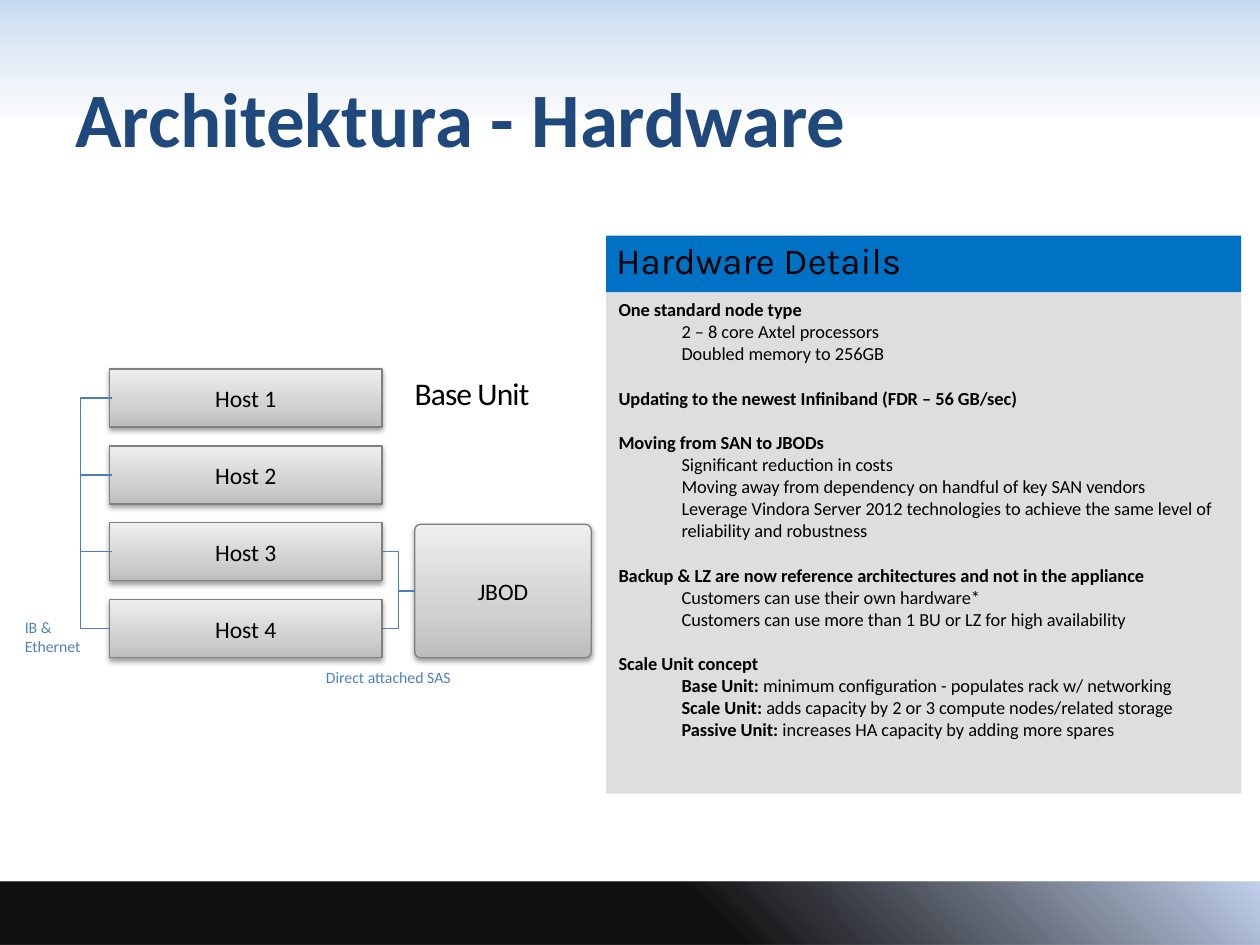
from itertools import pairwise

from pptx import Presentation
from pptx.dml.color import RGBColor as RGB
from pptx.enum.shapes import MSO_CONNECTOR as LINK, MSO_SHAPE as SHAPE
from pptx.enum.text import MSO_ANCHOR as ANCHOR, PP_ALIGN as ALIGN
from pptx.oxml.ns import qn
from pptx.oxml.xmlchemy import OxmlElement as Node
from pptx.util import Cm, Pt

HUES = {
    "black": "000000", "title": "1F497D", "label": "4F81BD", "wire": "4B7EBC",
    "head": "0072C6", "edge": "808080", "sky": "C6D9F1", "mist": "DCE6F2",
    "haze": "E1E8F5", "glow": "C2D1ED", "dark": "BDBDBD", "mid": "D1D1D1",
    "pale": "EEEEEE",
}
# Gradient stops: position, colour, opacity in percent
STEEL = [(0, "dark", 100), (35, "mid", 100), (100, "pale", 100)]
SKY = [(0, "mist", 41), (0, "sky", 100), (100, "haze", 16)]
NIGHT = [(56, "black", 93), (100, "glow", 100), (100, "haze", 16)]

deck = Presentation()
deck.slide_width, deck.slide_height = Cm(25.4), Cm(19.05)
slide = deck.slides.add_slide(deck.slide_layouts[6])
shapes = slide.shapes


def box(place, stops, angle=0, kind=SHAPE.RECTANGLE):
    """Add a borderless shape filled with one or more colour stops."""
    item = shapes.add_shape(kind, *map(Cm, place))
    item.shadow.inherit = False
    item.line.fill.background()
    tints = []
    for spot, hue, alpha in stops:
        tint = Node("a:srgbClr")
        tint.set("val", HUES[hue])
        if alpha < 100:
            veil = Node("a:alpha")
            veil.set("val", str(alpha * 1000))
            tint.append(veil)
        tints.append((spot, tint))
    props = item._element.spPr
    if len(stops) == 1:
        item.fill.solid()
        item.fill.fore_color.rgb = RGB(0, 0, 0)
        fill = props.find(qn("a:solidFill"))
        fill.replace(fill[0], tints[0][1])
        return item
    item.fill.gradient()
    fill = props.find(qn("a:gradFill"))
    ramp = fill.find(qn("a:gsLst"))
    for old in list(ramp):
        ramp.remove(old)
    for spot, tint in tints:
        stop = Node("a:gs")
        stop.set("pos", str(spot * 1000))
        stop.append(tint)
        ramp.append(stop)
    fill.find(qn("a:lin")).set("ang", str(angle * 60000))
    return item


def write(item, rows, size, hue="black", align=ALIGN.LEFT, face="Calibri", **form):
    """Write rows of (text, bold) runs; form holds text frame settings."""
    frame = item.text_frame
    for name, value in ({"word_wrap": True} | form).items():
        setattr(frame, name, value)
    for i, row in enumerate(rows):
        para = frame.paragraphs[0] if i == 0 else frame.add_paragraph()
        para.alignment = align
        for text, bold in row:
            run = para.add_run()
            run.text = text
            look = {"name": face, "size": Pt(size), "bold": bold}
            for name, value in look.items():
                setattr(run.font, name, value)
            run.font.color.rgb = RGB.from_string(HUES[hue])
    return frame


# Background bands
box((0, 0, 25.4, 2.39), SKY, 90)
box((0, 17.78, 25.4, 1.27), NIGHT, 315)

# Details panel: each group is a heading and its indented lines
GROUPS = [
    ("One standard node type", [
        ("", "2 – 8 core Axtel processors"),
        ("", "Doubled memory to 256GB")]),
    ("Updating to the newest Infiniband (FDR – 56 GB/sec)", []),
    ("Moving from SAN to JBODs", [
        ("", "Significant reduction in costs"),
        ("", "Moving away from dependency on handful of key SAN vendors"),
        ("", "Leverage Vindora Server 2012 technologies to achieve the same "
             "level of reliability and robustness")]),
    ("Backup & LZ are now reference architectures and not in the appliance", [
        ("", "Customers can use their own hardware*"),
        ("", "Customers can use more than 1 BU or LZ for high availability")]),
    ("Scale Unit concept", [
        ("Base Unit:", " minimum configuration - populates rack w/ networking"),
        ("Scale Unit:", " adds capacity by 2 or 3 compute nodes/related storage"),
        ("Passive Unit:", " increases HA capacity by adding more spares")]),
]
rows, heads = [], []
for head, points in GROUPS:
    heads.append(len(rows))
    rows.append([(head, True)])
    for term, text in points:
        rows.append([(term, True), (text, False)] if term else [(text, False)])
panel = box((12.22, 5.89, 12.8, 10.11), [(0, "black", 13)])
frame = write(panel, rows, 10.5, vertical_anchor=ANCHOR.TOP)
for i, para in enumerate(frame.paragraphs):
    if i not in heads:
        para.level = 1
        para._p.get_or_add_pPr().set("marL", str(Cm(1.27)))
        para._p.get_or_add_pPr().set("indent", "0")
    elif i:
        para.space_before = Pt(12.8)
bar = box((12.22, 4.75, 12.8, 1.14), [(0, "head", 100)])
write(bar, [[("Hardware Details", False)]], 21, face="Karla",
      vertical_anchor=ANCHOR.BOTTOM, margin_left=Cm(0.2), margin_top=Cm(0.1),
      margin_right=Cm(0.1), margin_bottom=Cm(0.2))

# Hosts and disk unit
units = [(f"Host {i + 1}", (2.21, 7.44 + 1.55 * i, 5.49, 1.17), SHAPE.RECTANGLE)
         for i in range(4)]
units.append(("JBOD", (8.36, 10.57, 3.56, 2.69), SHAPE.ROUNDED_RECTANGLE))
nodes = []
for name, place, kind in units:
    node = box(place, STEEL, 270, kind)
    node.line.color.rgb = RGB.from_string(HUES["edge"])
    node.line.width = Pt(0.75)
    cast = Node("a:outerShdw")
    drop = {"blurRad": Pt(3.1), "dist": Pt(1.6), "dir": 5400000, "rotWithShape": 0}
    for key, value in drop.items():
        cast.set(key, str(value))
    tint, veil = Node("a:srgbClr"), Node("a:alpha")
    tint.set("val", HUES["black"])
    veil.set("val", "38000")
    tint.append(veil)
    cast.append(tint)
    node._element.spPr.find(qn("a:effectLst")).append(cast)
    write(node, [[(name, False)]], 13.5, align=ALIGN.CENTER,
          vertical_anchor=ANCHOR.MIDDLE)
    nodes.append(node)
*hosts, disk = nodes
disk.adjustments[0] = 0.044

# Network wires on the left, storage wires on the right
wires = []
for upper, lower in pairwise(hosts):
    ends = [host.top + host.height // 2 for host in (upper, lower)]
    wire = shapes.add_connector(LINK.ELBOW, Cm(2.26), ends[0], Cm(2.21), ends[1])
    bend = Node("a:gd")
    bend.set("name", "adj1")
    bend.set("fmla", "val 1260000")
    wire._element.spPr.find(qn("a:prstGeom")).get_or_add_avLst().append(bend)
    wires.append(wire)
for host in hosts[2:]:
    wire = shapes.add_connector(LINK.ELBOW, 0, 0, 0, 0)
    wire.begin_connect(host, 3)
    wire.end_connect(disk, 1)
    wires.append(wire)
for wire in wires:
    wire.line.color.rgb = RGB.from_string(HUES["wire"])
    wire.line.width = Pt(0.75)
    wire._element.spPr.append(Node("a:effectLst"))

# Labels and title
bare = {f"margin_{side}": 0 for side in ("left", "top", "right", "bottom")}
LABELS = [
    ((0.25, 12.32, 1.65, 1.02), ["IB &", "Ethernet"], 9, "label", {"word_wrap": False}),
    ((6.32, 13.34, 3.07, 0.64), ["Direct attached SAS"], 9, "label",
     {"word_wrap": False}),
    ((8.36, 7.54, 2.36, 0.76), ["Base Unit"], 18, "black", bare),
    ((1.27, 0.76, 22.86, 3.18), ["Architektura - Hardware"], 44, "title",
     {"vertical_anchor": ANCHOR.MIDDLE}),
]
for place, lines, size, hue, form in LABELS:
    label = shapes.add_textbox(*map(Cm, place))
    frame = write(label, [[(line, hue == "title")] for line in lines], size, hue, **form)
    if form is bare:
        frame.paragraphs[0].runs[0].font._element.set("spc", "-50")

deck.save("out.pptx")
